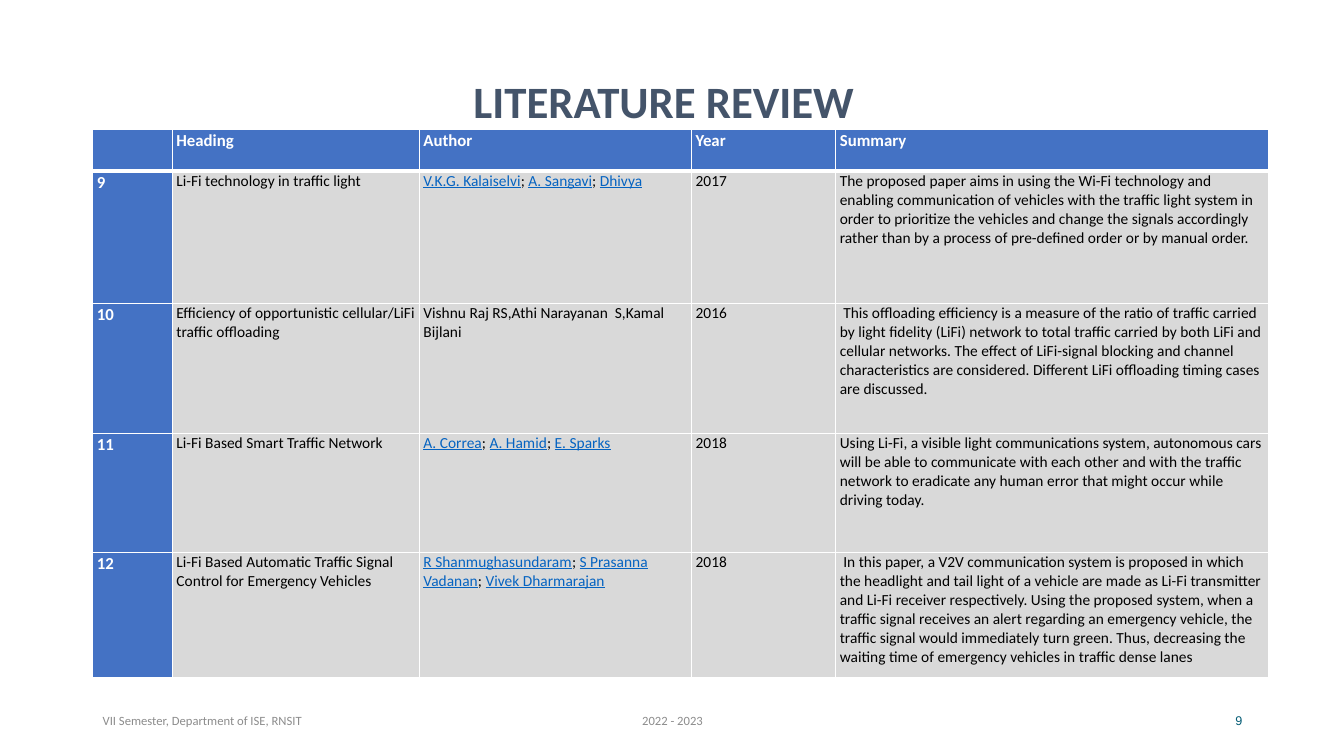
from dataclasses import dataclass
from lxml import etree
from pptx import Presentation
from pptx import util as u
from pptx.dml.color import RGBColor
from pptx.enum import text as t
from pptx.oxml import ns

PX = 9144  # EMU per px, 100 px to the inch


@dataclass(frozen=True)
class Theme:
    face: str = "Calibri"
    num_face: str = "Arial"
    white: str = "FFFFFF"
    ink: str = "000000"
    blue: str = "4472C4"
    gray: str = "D9D9D9"
    link: str = "0563C1"
    title: str = "44546A"
    foot: str = "8C8C8C"
    num: str = "045C75"
    big: int = 32
    head: int = 12
    body: int = 11
    small: int = 9


TH = Theme()
MID = t.MSO_ANCHOR.MIDDLE
LEFT, MIDX, RIGHT = t.PP_ALIGN.LEFT, t.PP_ALIGN.CENTER, t.PP_ALIGN.RIGHT

COLS = [79, 245, 270, 143, 429]
ROWS = [42, 131, 129, 118, 124]
HEADS = ["", "Heading", "Author", "Year", "Summary"]
# A tuple of authors is shown as links, a string as plain text
PAPERS = [
    ("9", "Li-Fi technology in traffic light",
     ("V.K.G. Kalaiselvi", "A. Sangavi", "Dhivya"), "2017",
     "The proposed paper aims in using the Wi-Fi technology and enabling "
     "communication of vehicles with the traffic light system in order to "
     "prioritize the vehicles and change the signals accordingly rather than "
     "by a process of pre-defined order or by manual order."),
    ("10", "Efficiency of opportunistic cellular/LiFi traffic offloading",
     "Vishnu Raj RS,Athi Narayanan  S,Kamal Bijlani", "2016",
     " This offloading efficiency is a measure of the ratio of traffic "
     "carried by light fidelity (LiFi) network to total traffic carried by "
     "both LiFi and cellular networks. The effect of LiFi-signal blocking and "
     "channel characteristics are considered. Different LiFi offloading "
     "timing cases are discussed."),
    ("11", "Li-Fi Based Smart Traffic Network",
     ("A. Correa", "A. Hamid", "E. Sparks"), "2018",
     "Using Li-Fi, a visible light communications system, autonomous cars "
     "will be able to communicate with each other and with the traffic "
     "network to eradicate any human error that might occur while driving "
     "today."),
    ("12", "Li-Fi Based Automatic Traffic Signal Control for Emergency "
     "Vehicles",
     ("R Shanmughasundaram", "S Prasanna Vadanan", "Vivek Dharmarajan"),
     "2018",
     " In this paper, a V2V communication system is proposed in which the "
     "headlight and tail light of a vehicle are made as Li-Fi transmitter and "
     "Li-Fi receiver respectively. Using the proposed system, when a traffic "
     "signal receives an alert regarding an emergency vehicle, the traffic "
     "signal would immediately turn green. Thus, decreasing the waiting time "
     "of emergency vehicles in traffic dense lanes"),
]


def apply(obj, **vals):
    for key, val in vals.items():
        setattr(obj, key, val)


def add_run(para, words, size, color, face=TH.face, **vals):
    run = para.add_run()
    run.text = words
    apply(run.font, size=u.Pt(size), name=face, **vals)
    run.font.color.rgb = RGBColor.from_string(color)


def add_title(slide, words, box):
    shape = slide.shapes.title
    apply(shape, **dict(zip(("left", "top", "width", "height"),
                            (n * PX for n in box))))
    apply(shape.text_frame, vertical_anchor=t.MSO_ANCHOR.TOP,
          auto_size=t.MSO_AUTO_SIZE.NONE, word_wrap=True)
    para = shape.text_frame.paragraphs[0]
    para.alignment = MIDX
    add_run(para, words, TH.big, TH.title, bold=True)


def add_foot(slide, words, box, align, color, face):
    frame = slide.shapes.add_textbox(*(n * PX for n in box)).text_frame
    apply(frame, word_wrap=True, vertical_anchor=MID)
    para = frame.paragraphs[0]
    para.alignment = align
    add_run(para, words, TH.small, color, face)


def add_edges(cell, top, base):
    props = cell._tc.get_or_add_tcPr()
    for side, width in zip("LRTB", (1, 1, top, base)):
        line = etree.SubElement(props, ns.qn(f"a:ln{side}"),
                                w=str(u.Pt(width)))
        fill = etree.SubElement(line, ns.qn("a:solidFill"))
        etree.SubElement(fill, ns.qn("a:srgbClr"), val=TH.white)


def fill_cell(cell, words, row, col):
    strong = row == 0 or col == 0
    add_edges(cell, 3 if row == 1 else 1, 3 if row == 0 else 1)
    cell.fill.solid()
    cell.fill.fore_color.rgb = RGBColor.from_string(
        TH.blue if strong else TH.gray)
    apply(cell, margin_left=4 * PX, margin_right=4 * PX,
          margin_top=0, margin_bottom=0)
    para = cell.text_frame.paragraphs[0]
    apply(para, line_spacing=1.07 if strong else 1.0, space_after=u.Pt(8))
    size, color = (TH.head, TH.white) if strong else (TH.body, TH.ink)
    if isinstance(words, str):
        if words:
            add_run(para, words, size, color, bold=strong)
        return
    for i, name in enumerate(words):
        if i:
            add_run(para, "; ", size, color, bold=False)
        add_run(para, name, size, TH.link, bold=False, underline=True)


def add_grid(slide, left, top):
    grid = slide.shapes.add_table(
        len(ROWS), len(COLS), left * PX, top * PX,
        sum(COLS) * PX, sum(ROWS) * PX).table
    grid.horz_banding = False
    for col, width in zip(grid.columns, COLS):
        col.width = width * PX
    for row, height in zip(grid.rows, ROWS):
        row.height = height * PX
    for r, line in enumerate([HEADS, *PAPERS]):
        for c, words in enumerate(line):
            fill_cell(grid.cell(r, c), words, r, c)


def main():
    deck = Presentation()
    apply(deck, slide_width=1333 * PX, slide_height=750 * PX)
    slide = deck.slides.add_slide(deck.slide_layouts[5])

    # Title and table of papers
    add_title(slide, "LITERATURE REVIEW", (186, 68, 945, 89))
    add_grid(slide, 92, 128)

    # Footer line
    for words, left, width, align, color, face in (
            ("VII Semester, Department of ISE, RNSIT", 92, 350, LEFT,
             TH.foot, TH.face),
            ("2022 - 2023", 442, 450, MIDX, TH.foot, TH.face),
            ("9", 942, 300, RIGHT, TH.num, TH.num_face)):
        add_foot(slide, words, (left, 695, width, 40), align, color, face)

    deck.save("out.pptx")


if __name__ == "__main__":
    main()
